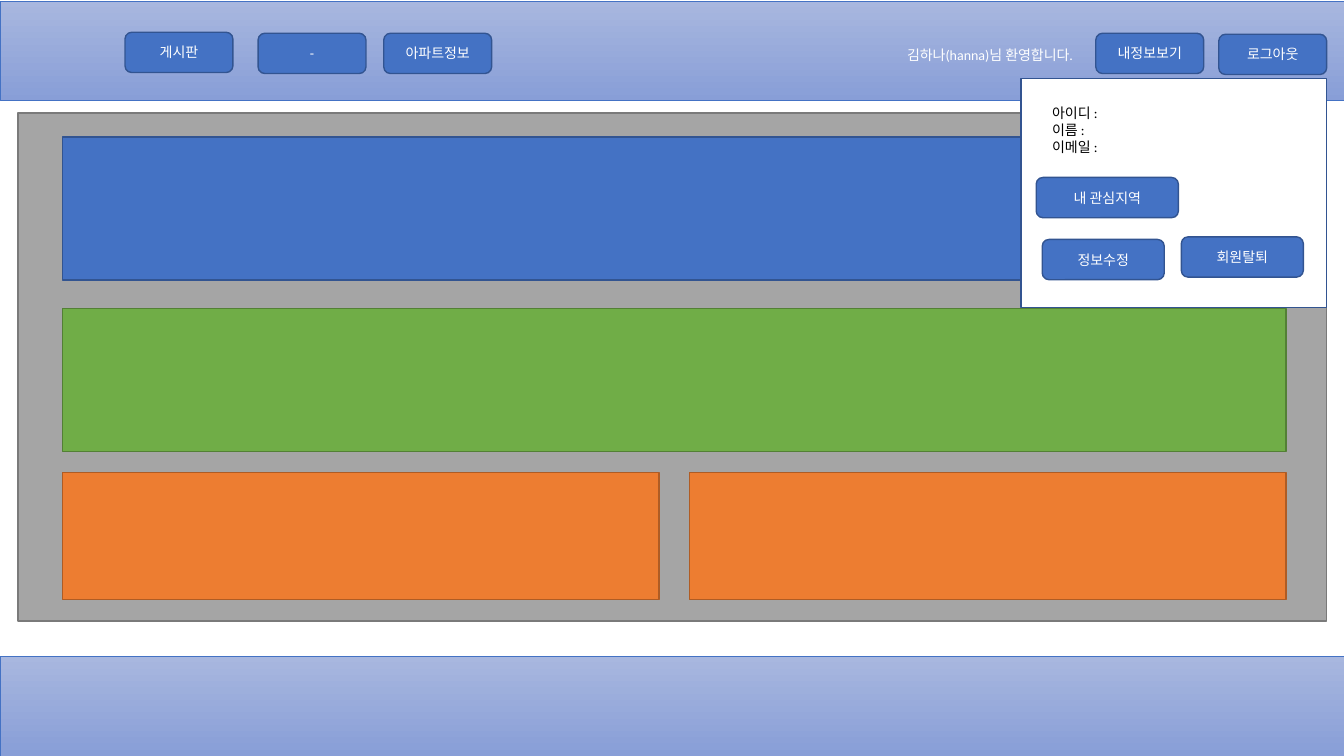
from pptx import Presentation
from pptx.dml.color import RGBColor
from pptx.enum.shapes import MSO_SHAPE
from pptx.enum.text import MSO_ANCHOR, PP_ALIGN
from pptx.util import Inches, Pt

RECT, ROUND = MSO_SHAPE.RECTANGLE, MSO_SHAPE.ROUNDED_RECTANGLE
TOP, MIDDLE = MSO_ANCHOR.TOP, MSO_ANCHOR.MIDDLE
LEFT, CENTER = PP_ALIGN.LEFT, PP_ALIGN.CENTER
WHITE = RGBColor(0xFF, 0xFF, 0xFF)
BLACK = RGBColor(0, 0, 0)
BLUE = RGBColor(0x44, 0x72, 0xC4)
NAVY = RGBColor(0x32, 0x54, 0x91)
GRAY = RGBColor(0xA5, 0xA5, 0xA5)
SLATE = RGBColor(0x7A, 0x7A, 0x7A)
GREEN = RGBColor(0x70, 0xAD, 0x47)
MOSS = RGBColor(0x53, 0x80, 0x35)
ORANGE = RGBColor(0xED, 0x7D, 0x31)
RUST = RGBColor(0xAF, 0x5C, 0x24)
PALE = RGBColor(0xA8, 0xB7, 0xDF)
DEEP = RGBColor(0x88, 0x9E, 0xD7)

deck = Presentation()
deck.slide_width, deck.slide_height = Inches(13.33), Inches(7.5)
COL, ROW = deck.slide_width / 100, deck.slide_height / 100
slide = deck.slides.add_slide(deck.slide_layouts[6])
shapes = slide.shapes


def box(x, y, wide, high, fill, edge, kind=RECT, weight=1):
    shape = shapes.add_shape(kind, int(x * COL), int(y * ROW), int(wide * COL), int(high * ROW))
    shape.shadow.inherit = False
    shape.line.color.rgb = edge
    shape.line.width = Pt(weight)
    if fill:
        shape.fill.solid()
        shape.fill.fore_color.rgb = fill
    return shape


def write(text, shape=None, area=None, color=WHITE, align=LEFT, anchor=TOP, wrap=True):
    if shape is None:
        x, y, wide, high = area
        shape = shapes.add_textbox(int(x * COL), int(y * ROW), int(wide * COL), int(high * ROW))
    frame = shape.text_frame
    frame.text = text
    frame.word_wrap = wrap
    frame.vertical_anchor = anchor
    for line in frame.paragraphs:
        line.alignment = align
        line.font.size = Pt(10)
        for run in line.runs:
            run.font.size = Pt(10)
            run.font.name = "Calibri"
            run.font.color.rgb = color


BAND = 13.2
for top in (0.13, 100 - BAND):
    band = box(0, top, 100, BAND, None, BLUE, weight=0.5)
    band.fill.gradient()
    band.fill.gradient_angle = 270
    for stop, tint in zip(band.fill.gradient_stops, (PALE, DEEP)):
        stop.color.rgb = tint

EDGE, FULL, HALF = 4.65, 91.05, 44.4
box(1.35, 14.93, 97.35, 67.2, GRAY, SLATE)
box(EDGE, 18.13, FULL, 18.93, BLUE, NAVY)
box(EDGE, 40.8, FULL, 18.93, GREEN, MOSS)
for x in (EDGE, EDGE + FULL - HALF):
    box(x, 62.53, HALF, 16.8, ORANGE, RUST)

write("김하나(hanna)님 환영합니다.", area=(66.75, 5.47, 14.25, 3.6), wrap=False)
box(75.98, 10.4, 22.73, 30.27, WHITE, NAVY)
write("아이디 :\n이름 :\n이메일 :", area=(77.55, 13.2, 19.28, 10.27), color=BLACK)

MENU, PAIR = 8.03, 9.08
buttons = [
    ("게시판", 9.3, 4.27, MENU),
    ("-", 19.2, 4.4, MENU),
    ("아파트정보", 28.55, 4.4, MENU),
    ("내정보보기", 81.53, 4.4, MENU),
    ("로그아웃", 90.68, 4.53, MENU),
    ("내 관심지역", 77.1, 23.47, 10.58),
    ("정보수정", 77.55, 31.67, PAIR),
    ("회원탈퇴", 87.9, 31.33, PAIR),
]
for name, x, y, wide in buttons:
    write(name, box(x, y, wide, 5.33, BLUE, NAVY, ROUND), align=CENTER, anchor=MIDDLE)

deck.save("out.pptx")
